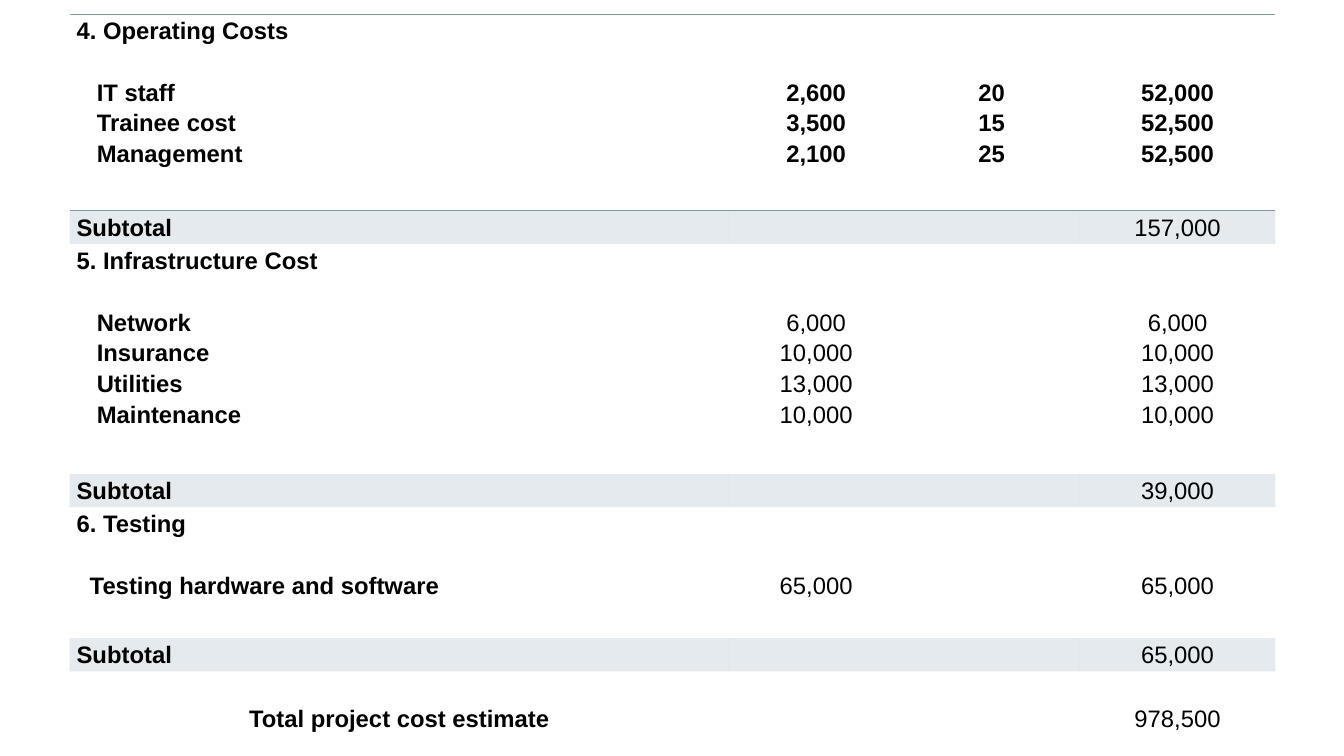
from lxml import etree
from pptx import Presentation
from pptx import util as u
from pptx.dml.color import RGBColor
from pptx.enum import text
from pptx.oxml import ns

LEFT, CENTER, JUSTIFY = text.PP_ALIGN.LEFT, text.PP_ALIGN.CENTER, text.PP_ALIGN.JUSTIFY
LINE = 0.305  # height of one text line, in inches
NO_STYLE = "{2D5ABB26-0587-4C30-8999-92F81FD0307C}"


def rgb(value):
    return RGBColor.from_string(value)


def add_xml(parent, tag, **attributes):
    return etree.SubElement(parent, ns.qn(tag), attributes)


class CostSlide:
    accent = "7E97AD"
    font = {"name": "Arial", "size": u.Pt(17)}
    margins = {"margin_left": 0.07, "margin_right": 0.07, "margin_top": 0, "margin_bottom": 0}

    def __init__(self, deck):
        self.slide = deck.slides.add_slide(deck.slide_layouts[6])

    def table(self, left, top, widths, heights):
        box = [u.Inches(v) for v in (left, top, sum(widths), sum(heights))]
        table = self.slide.shapes.add_table(len(heights), len(widths), *box).table
        table.first_row = table.horz_banding = False
        table._tbl.tblPr.find(ns.qn("a:tableStyleId")).text = NO_STYLE
        for column, width in zip(table.columns, widths):
            column.width = u.Inches(width)
        for row, height in zip(table.rows, heights):
            row.height = u.Inches(height)
        for cell in table.iter_cells():
            cell.fill.background()
            for name, value in self.margins.items():
                setattr(cell, name, u.Inches(value))
        return table

    def label(self, cell, lines, bold=True, align=LEFT, skip=0):
        """Fill a cell with (text, indent, gap lines) entries, below skipped lines."""
        cell.margin_top = u.Inches(skip * LINE)
        for i, (words, indent, gap) in enumerate(lines):
            frame = cell.text_frame
            paragraph = frame.add_paragraph() if i else frame.paragraphs[0]
            layout = {"alignment": align, "line_spacing": 1.15}
            if gap:
                layout["space_before"] = u.Inches(gap * LINE)
            for name, value in layout.items():
                setattr(paragraph, name, value)
            if indent:
                paragraph._p.get_or_add_pPr().set("marL", str(u.Inches(indent)))
            run = paragraph.add_run()
            run.text = words
            for name, value in {**self.font, "bold": bold}.items():
                setattr(run.font, name, value)
            run.font.color.rgb = rgb("000000")

    def numbers(self, cell, values, bold=False, skip=0):
        self.label(cell, [(value, 0, 0) for value in values], bold, CENTER, skip)

    def shade(self, cell):
        cell.fill.solid()
        cell.fill.fore_color.rgb = rgb(self.accent)
        color = cell._tc.tcPr.find(ns.qn("a:solidFill"))[0]
        add_xml(color, "a:alpha", val="20000")

    def rule(self, cell, sides):
        properties = cell._tc.get_or_add_tcPr()
        for i, side in enumerate(sides):
            line = add_xml(properties, f"a:ln{side}", w=str(u.Pt(1)))
            add_xml(add_xml(line, "a:solidFill"), "a:srgbClr", val=self.accent)
            properties.insert(i, line)


# Heading, item indent, items, number columns, bold numbers, subtotal
SECTIONS = [
    ("4. Operating Costs", 0.2, ["IT staff", "Trainee cost", "Management"],
     {1: ["2,600", "3,500", "2,100"], 2: ["20", "15", "25"],
      3: ["52,000", "52,500", "52,500"]}, True, "157,000"),
    ("5. Infrastructure Cost", 0.2, ["Network", "Insurance", "Utilities", "Maintenance"],
     {c: ["6,000", "10,000", "13,000", "10,000"] for c in (1, 3)}, False, "39,000"),
    ("6. Testing", 0.13, ["Testing hardware and software"],
     {c: ["65,000"] for c in (1, 3)}, False, "65,000"),
]


def main():
    deck = Presentation()
    deck.slide_width, deck.slide_height = u.Inches(13.33), u.Inches(7.5)
    page = CostSlide(deck)
    costs = page.table(0.69, 0.14, [6.54, 1.73, 1.75, 1.94],
                       [1.95, 0.33, 2.28, 0.33, 1.3, 0.33, 0.98])

    # Cost sections, each followed by its subtotal
    for i, (heading, indent, items, columns, bold, subtotal) in enumerate(SECTIONS):
        row = 2 * i
        entries = [(item, indent, 0 if n else 1) for n, item in enumerate(items)]
        page.label(costs.cell(row, 0), [(heading, 0, 0)] + entries)
        for column, values in columns.items():
            page.numbers(costs.cell(row, column), values, bold, skip=2)
        page.label(costs.cell(row + 1, 0), [("Subtotal", 0, 0)], align=JUSTIFY)
        page.numbers(costs.cell(row + 1, 3), [subtotal])
        for cell in costs.rows[row + 1].cells:
            page.shade(cell)

    # Project total
    page.label(costs.cell(6, 0), [("Total project cost estimate", 0, 0)], align=CENTER, skip=1)
    page.numbers(costs.cell(6, 3), ["978,500"], skip=1)

    # Rules above and below the first section
    for cell in costs.rows[0].cells:
        page.rule(cell, "TB")

    deck.save("out.pptx")


if __name__ == "__main__":
    main()
